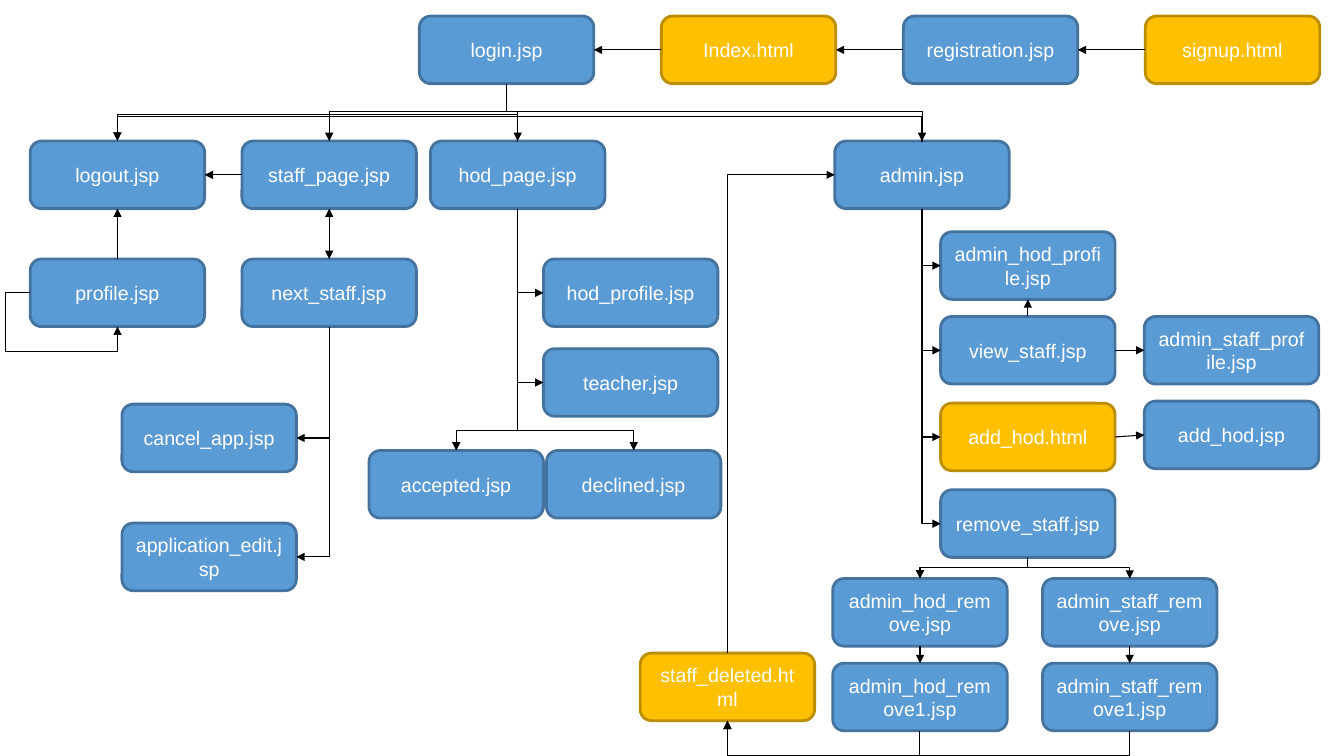
from lxml import etree
from pptx import Presentation
from pptx.dml.color import RGBColor
from pptx.enum.shapes import MSO_CONNECTOR, MSO_SHAPE
from pptx.enum.text import MSO_ANCHOR, PP_ALIGN
from pptx.oxml.ns import qn
from pptx.util import Inches, Pt

ROUNDED = MSO_SHAPE.ROUNDED_RECTANGLE
STRAIGHT, ELBOW = MSO_CONNECTOR.STRAIGHT, MSO_CONNECTOR.ELBOW
MIDDLE, CENTER = MSO_ANCHOR.MIDDLE, PP_ALIGN.CENTER

BLUE = RGBColor(0x5B, 0x9B, 0xD5)
BLUE_EDGE = RGBColor(0x43, 0x73, 0x9E)
GOLD = RGBColor(0xFF, 0xC0, 0x00)
GOLD_EDGE = RGBColor(0xBD, 0x8E, 0x00)
WHITE = RGBColor(0xFF, 0xFF, 0xFF)
BLACK = RGBColor(0x00, 0x00, 0x00)

FONT = "Arial"
PAGE_WIDTH, PAGE_HEIGHT = 1.73, 0.67
TOP, LEFT, BOTTOM, RIGHT = range(4)  # connection sites of a rounded rectangle


def add_page(slide, name, left, top):
    """Draw one page box; HTML pages are gold, JSP pages blue."""
    shape = slide.shapes.add_shape(
        ROUNDED, Inches(left), Inches(top), Inches(PAGE_WIDTH), Inches(PAGE_HEIGHT))
    is_html = name.endswith(".html")
    shape.shadow.inherit = False
    shape.fill.solid()
    shape.fill.fore_color.rgb = GOLD if is_html else BLUE
    shape.line.color.rgb = GOLD_EDGE if is_html else BLUE_EDGE
    shape.line.width = Pt(2)
    text_frame = shape.text_frame
    text_frame.word_wrap = True
    text_frame.vertical_anchor = MIDDLE
    text_frame.text = name
    paragraph = text_frame.paragraphs[0]
    paragraph.alignment = CENTER
    font = paragraph.runs[0].font
    font.name, font.size, font.color.rgb = FONT, Pt(14), WHITE
    return shape


def add_pages(slide, left, top, offsets):
    """Draw pages at offsets from the region's corner, keyed by name."""
    return {name: add_page(slide, name, left + x, top + y)
            for name, (x, y) in offsets.items()}


def site_point(shape, site):
    x = shape.left + {LEFT: 0, RIGHT: shape.width}.get(site, shape.width // 2)
    y = shape.top + {TOP: 0, BOTTOM: shape.height}.get(site, shape.height // 2)
    return x, y


def add_arrow(slide, source, source_site, target, target_site,
              kind=STRAIGHT, both_ends=False):
    """Glue an arrow between two page boxes."""
    connector = slide.shapes.add_connector(kind, 0, 0, 0, 0)
    connector.begin_connect(source, source_site)
    connector.end_connect(target, target_site)
    connector.line.color.rgb = BLACK
    connector.line.width = Pt(0.75)
    properties = connector._element.spPr
    line = properties.find(qn("a:ln"))
    for end in ("a:headEnd", "a:tailEnd")[0 if both_ends else 1:]:
        etree.SubElement(line, qn(end), type="triangle")
    etree.SubElement(properties, qn("a:effectLst"))
    return connector


def add_elbow(slide, source, source_site, target, target_site, via=()):
    """Glue a bent arrow; via lists where its middle segments lie, in inches."""
    connector = add_arrow(slide, source, source_site, target, target_site, ELBOW)
    start, end = site_point(source, source_site), site_point(target, target_site)
    axis = 1 if source_site in (TOP, BOTTOM) else 0  # direction of the first segment
    run = end[axis] - start[axis] or -Inches(0.01)
    rise = end[1 - axis] - start[1 - axis]

    # Frame: a vertical start is a horizontal one turned by a quarter
    connector.width, connector.height = abs(run), abs(rise)
    connector.left = (start[0] + end[0] - abs(run)) // 2
    connector.top = (start[1] + end[1] - abs(rise)) // 2
    frame = connector._element.spPr.find(qn("a:xfrm"))
    frame.set("rot", "5400000" if axis else "0")
    frame.set("flipH", str(int(run < 0)))
    frame.set("flipV", str(int(rise > 0 if axis else rise < 0)))

    # Bends: two for a parallel end, otherwise one, or three around a corner
    geometry = connector._element.spPr.find(qn("a:prstGeom"))
    parallel = source_site % 2 == target_site % 2
    bends = 3 if parallel else 2 + len(via)
    geometry.set("prst", f"bentConnector{bends}")
    guides = geometry.find(qn("a:avLst"))
    if guides is None:
        guides = etree.SubElement(geometry, qn("a:avLst"))
    spans = ((start[axis], run), (start[1 - axis], rise))
    for number, (place, (origin, span)) in enumerate(zip(via, spans), 1):
        ratio = round((Inches(place) - origin) / span * 100000)
        etree.SubElement(guides, qn("a:gd"), name=f"adj{number}", fmla=f"val {ratio}")


def add_entry_row(slide, left, top):
    """Sign-up chain, running from right to left into the login."""
    names = ("login.jsp", "Index.html", "registration.jsp", "signup.html")
    pages = add_pages(slide, left, top,
                      {name: (2.4 * i, 0) for i, name in enumerate(names)})
    for target, source in zip(names, names[1:]):
        add_arrow(slide, pages[source], LEFT, pages[target], RIGHT)
    return pages


def add_staff_region(slide, left, top):
    """Logout, profile and staff pages."""
    pages = add_pages(slide, left, top, {
        "logout.jsp": (0, 0), "profile.jsp": (0, 1.17),
        "staff_page.jsp": (2.1, 0), "next_staff.jsp": (2.1, 1.17),
        "cancel_app.jsp": (0.91, 2.61), "application_edit.jsp": (0.91, 3.79)})
    logout, profile = pages["logout.jsp"], pages["profile.jsp"]
    staff, next_staff = pages["staff_page.jsp"], pages["next_staff.jsp"]
    add_arrow(slide, staff, LEFT, logout, RIGHT)
    add_arrow(slide, profile, TOP, logout, BOTTOM)
    add_arrow(slide, staff, BOTTOM, next_staff, TOP, both_ends=True)
    add_elbow(slide, profile, LEFT, profile, BOTTOM, (left - 0.25, top + 2.09))
    for name in ("cancel_app.jsp", "application_edit.jsp"):
        add_elbow(slide, next_staff, BOTTOM, pages[name], RIGHT)
    return pages


def add_hod_region(slide, left, top):
    """Head-of-department pages."""
    pages = add_pages(slide, left, top, {
        "hod_page.jsp": (0, 0), "hod_profile.jsp": (1.12, 1.17),
        "teacher.jsp": (1.12, 2.06), "accepted.jsp": (-0.61, 3.07),
        "declined.jsp": (1.15, 3.07)})
    hod = pages["hod_page.jsp"]
    for name in ("hod_profile.jsp", "teacher.jsp"):
        add_elbow(slide, hod, BOTTOM, pages[name], LEFT)
    for name in ("accepted.jsp", "declined.jsp"):
        add_elbow(slide, hod, BOTTOM, pages[name], TOP, (top + 2.87,))
    return pages


def add_admin_region(slide, left, top):
    """Administrator pages, with the removal loop back to the top."""
    pages = add_pages(slide, left, top, {
        "admin.jsp": (0, 0), "admin_hod_profile.jsp": (1.05, 0.9),
        "view_staff.jsp": (1.05, 1.74), "admin_staff_profile.jsp": (3.07, 1.74),
        "add_hod.html": (1.05, 2.6), "add_hod.jsp": (3.07, 2.58),
        "remove_staff.jsp": (1.05, 3.46),
        "admin_hod_remove.jsp": (-0.02, 4.34), "admin_staff_remove.jsp": (2.06, 4.34),
        "admin_hod_remove1.jsp": (-0.02, 5.18), "admin_staff_remove1.jsp": (2.06, 5.18),
        "staff_deleted.html": (-1.93, 5.08)})
    admin, view = pages["admin.jsp"], pages["view_staff.jsp"]
    deleted = pages["staff_deleted.html"]
    for name in ("admin_hod_profile.jsp", "view_staff.jsp",
                 "add_hod.html", "remove_staff.jsp"):
        add_elbow(slide, admin, BOTTOM, pages[name], LEFT)
    add_arrow(slide, view, TOP, pages["admin_hod_profile.jsp"], BOTTOM)
    add_arrow(slide, view, RIGHT, pages["admin_staff_profile.jsp"], LEFT)
    add_arrow(slide, pages["add_hod.html"], RIGHT, pages["add_hod.jsp"], LEFT)
    for role in ("hod", "staff"):
        remove = pages[f"admin_{role}_remove.jsp"]
        confirm = pages[f"admin_{role}_remove1.jsp"]
        add_elbow(slide, pages["remove_staff.jsp"], BOTTOM, remove, TOP, (top + 4.23,))
        add_arrow(slide, remove, BOTTOM, confirm, TOP)
        add_elbow(slide, confirm, BOTTOM, deleted, BOTTOM, (top + 6.1,))
    add_elbow(slide, deleted, TOP, admin, LEFT)
    return pages


def add_site_map(slide):
    """Place the regions and join them."""
    login = add_entry_row(slide, 4.16, 0.16)["login.jsp"]
    staff_pages = add_staff_region(slide, 0.3, 1.4)
    hod = add_hod_region(slide, 4.27, 1.4)["hod_page.jsp"]
    admin = add_admin_region(slide, 8.28, 1.4)["admin.jsp"]
    for target in (staff_pages["staff_page.jsp"], hod, admin):
        add_elbow(slide, login, BOTTOM, target, TOP, (1.11,))
    for source, height in ((hod, 1.13), (admin, 1.15)):
        add_elbow(slide, source, TOP, staff_pages["logout.jsp"], TOP, (height,))


presentation = Presentation()
presentation.slide_width, presentation.slide_height = Inches(13.33), Inches(7.5)
add_site_map(presentation.slides.add_slide(presentation.slide_layouts[6]))
presentation.save("out.pptx")
